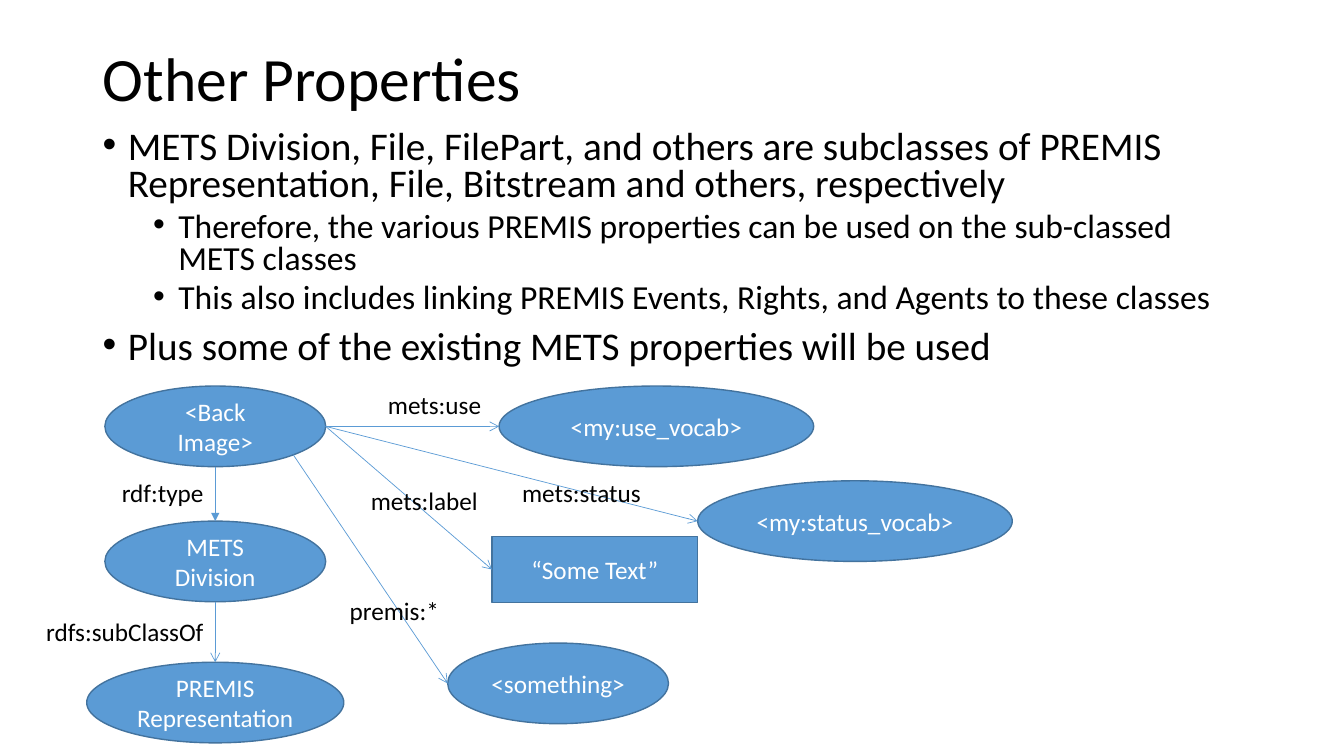
import pptx
import pptx.util
import pptx.dml.color
import pptx.enum.shapes
import pptx.enum.text
import pptx.oxml
import pptx.oxml.ns
from dataclasses import dataclass
from math import sqrt

Inches = pptx.util.Inches
Pt = pptx.util.Pt
Kind = pptx.enum.shapes.MSO_SHAPE
Align = pptx.enum.text.PP_ALIGN
Anchor = pptx.enum.text.MSO_ANCHOR

FONT = "Calibri"
COLORS = {"text": "000000", "fill": "5B9BD5", "edge": "43739E", "light": "FFFFFF"}


@dataclass
class Node:
    lines: list[str]
    left: float
    top: float
    width: float = 2.19
    height: float = 0.8
    kind: int = Kind.OVAL

    def point(self, side: str) -> tuple[float, float]:
        """Give the place on the edge where an arrow meets the node."""
        diag = 0.5 + sqrt(2) / 4
        part = {"left": (0, 0.5), "right": (1, 0.5), "top": (0.5, 0),
                "bottom": (0.5, 1), "corner": (diag, diag)}[side]
        return self.left + self.width * part[0], self.top + self.height * part[1]


@dataclass
class Link:
    start: str
    side: str
    end: str
    port: str
    label: str
    left: float
    top: float
    width: float
    head: str = "arrow"


@dataclass
class Point:
    text: str
    level: int = 0


NODES = {
    "image": Node(["<Back Image>"], 1.04, 3.83),
    "div": Node(["METS Division"], 1.04, 5.17),
    "rep": Node(["PREMIS", "Representation"], 0.86, 6.57, 2.55),
    "use": Node(["<my:use_vocab>"], 4.95, 3.83, 3.12),
    "status": Node(["<my:status_vocab>"], 6.92, 4.77, 3.12),
    "text": Node(["“Some Text”"], 4.88, 5.32, 2.04, 0.66, Kind.RECTANGLE),
    "thing": Node(["<something>"], 4.44, 6.38),
}
LINKS = [
    Link("image", "bottom", "div", "top", "rdf:type", 1.11, 4.69, 1.02, "triangle"),
    Link("div", "bottom", "rep", "top", "rdfs:subClassOf", 0.36, 6.07, 1.78),
    Link("image", "right", "use", "left", "mets:use", 3.75, 3.81, 1.14),
    Link("image", "right", "status", "left", "mets:status", 5.08, 4.69, 1.39),
    Link("image", "right", "text", "left", "mets:label", 3.58, 4.77, 1.28),
    Link("image", "corner", "thing", "left", "premis:*", 3.37, 5.86, 1.1),
]
POINTS = [
    Point("METS Division, File, FilePart, and others are subclasses of PREMIS "
          "Representation, File, Bitstream and others, respectively"),
    Point("Therefore, the various PREMIS properties can be used on the "
          "sub-classed METS classes", 1),
    Point("This also includes linking PREMIS Events, Rights, and Agents to "
          "these classes", 1),
    Point("Plus some of the existing METS properties will be used"),
]


def color(name: str) -> pptx.dml.color.RGBColor:
    return pptx.dml.color.RGBColor.from_string(COLORS[name])


def add_run(para, text: str, size: int, tint: str = "text") -> None:
    run = para.add_run()
    run.text = text
    run.font.name = FONT
    run.font.size = Pt(size)
    run.font.color.rgb = color(tint)


def add_part(parent, tag: str, **attrs: str):
    part = pptx.oxml.parse_xml(f"<a:{tag} {pptx.oxml.ns.nsdecls('a')}/>")
    for name, value in attrs.items():
        part.set(name, value)
    parent.append(part)


def set_title(slide) -> None:
    title = slide.shapes.title
    title.left, title.top = Inches(0.92), Inches(0.4)
    title.width, title.height = Inches(11.5), Inches(0.81)
    title.text_frame.vertical_anchor = Anchor.MIDDLE
    para = title.text_frame.paragraphs[0]
    para.alignment = Align.LEFT
    para.line_spacing = 0.9
    add_run(para, "Other Properties", 44)


def add_points(slide) -> None:
    box = slide.shapes.add_textbox(Inches(0.92), Inches(1.24), Inches(11.5), Inches(2.51))
    frame = box.text_frame
    frame.word_wrap = True
    for i, point in enumerate(POINTS):
        para = frame.add_paragraph() if i else frame.paragraphs[0]
        para.level = point.level
        para.line_spacing = 0.8
        para.space_before = Pt((5 if point.level else 10) if i else 0)
        props = para._p.get_or_add_pPr()
        props.set("marL", str(Inches(0.25 + 0.5 * point.level)))
        props.set("indent", str(Inches(-0.25)))
        add_part(props, "buFont", typeface="Arial")
        add_part(props, "buChar", char="•")
        add_run(para, point.text, 24 if point.level else 28)


def add_node(slide, node: Node) -> None:
    shape = slide.shapes.add_shape(node.kind, Inches(node.left), Inches(node.top),
                                   Inches(node.width), Inches(node.height))
    shape.shadow.inherit = False
    shape.fill.solid()
    shape.fill.fore_color.rgb = color("fill")
    shape.line.color.rgb = color("edge")
    shape.line.width = Pt(1)
    frame = shape.text_frame
    frame.word_wrap = True
    frame.vertical_anchor = Anchor.MIDDLE
    for i, line in enumerate(node.lines):
        para = frame.add_paragraph() if i else frame.paragraphs[0]
        para.alignment = Align.CENTER
        add_run(para, line, 18, "light")


def add_link(slide, link: Link) -> None:
    ends = NODES[link.start].point(link.side) + NODES[link.end].point(link.port)
    line = slide.shapes.add_connector(pptx.enum.shapes.MSO_CONNECTOR.STRAIGHT,
                                      *[Inches(n) for n in ends])
    line.line.color.rgb = color("fill")
    line.line.width = Pt(0.5)
    add_part(line.line._get_or_add_ln(), "tailEnd", type=link.head)
    add_part(line._element.spPr, "effectLst")
    # Label beside the arrow
    box = slide.shapes.add_textbox(Inches(link.left), Inches(link.top),
                                   Inches(link.width), Inches(0.4))
    box.text_frame.word_wrap = False
    box.text_frame.auto_size = pptx.enum.text.MSO_AUTO_SIZE.SHAPE_TO_FIT_TEXT
    add_run(box.text_frame.paragraphs[0], link.label, 18)


def main() -> None:
    deck = pptx.Presentation()
    deck.slide_width, deck.slide_height = Inches(13.33), Inches(7.5)
    slide = deck.slides.add_slide(deck.slide_layouts[5])
    # Heading and bullets
    set_title(slide)
    add_points(slide)
    # Graph of properties
    for node in NODES.values():
        add_node(slide, node)
    for link in LINKS:
        add_link(slide, link)
    deck.save("out.pptx")


if __name__ == "__main__":
    main()
